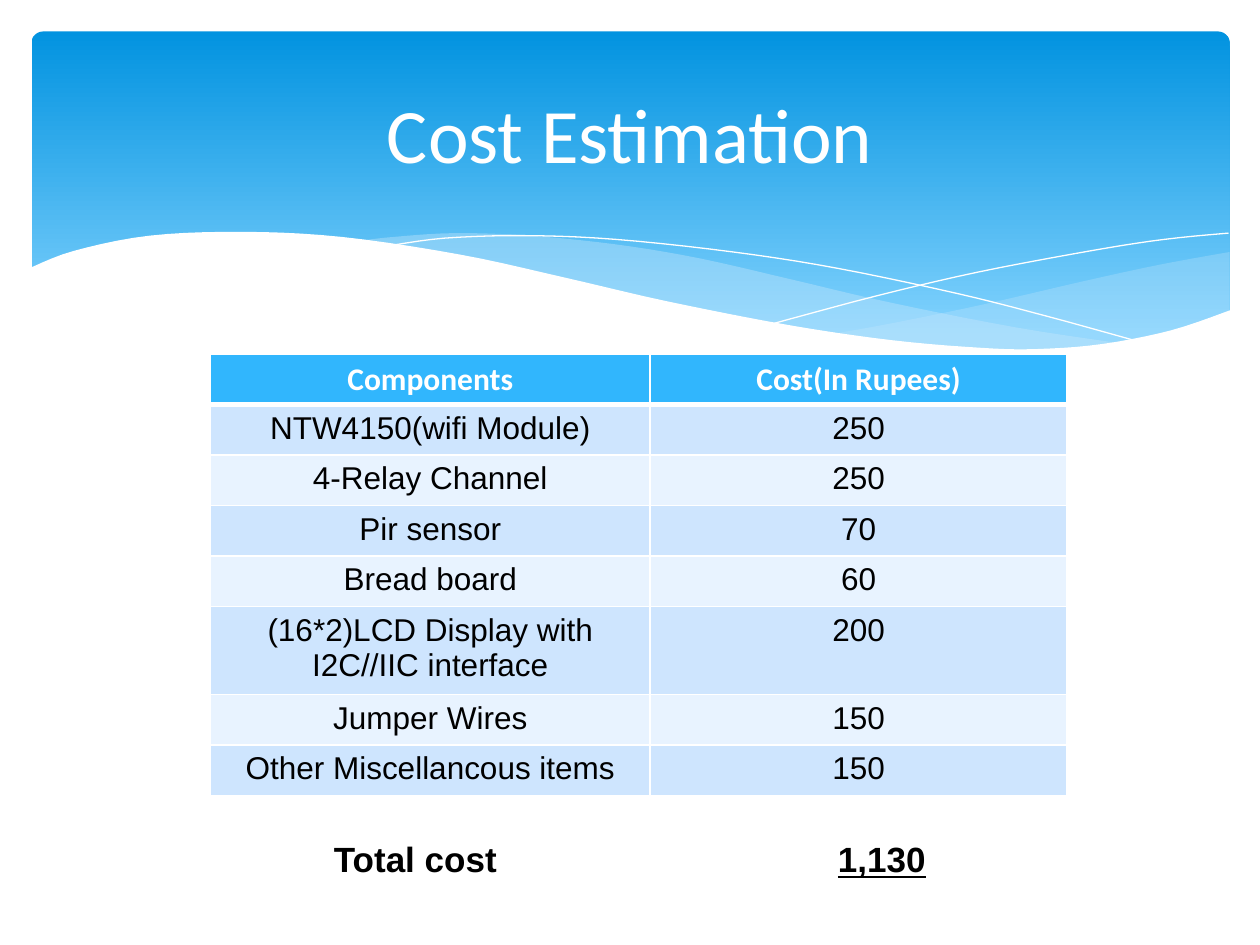
from dataclasses import dataclass

from lxml import etree
from pptx import Presentation
from pptx import util as u
from pptx.dml.color import RGBColor
from pptx.enum import shapes, text
from pptx.oxml.ns import qn

COSTS = [
    ("Components", "Cost(In Rupees)"),
    ("NTW4150(wifi Module)", "250"),
    ("4-Relay Channel", "250"),
    ("Pir sensor", "70"),
    ("Bread board", "60"),
    ("(16*2)LCD Display with I2C//IIC interface", "200"),
    ("Jumper Wires", "150"),
    ("Other Miscellancous items", "150"),
]

# Waypoints of the banner waves, in inches
RIGHT_WAVE_TOP = [(9.76, 2), (9.21, 2.1), (8.61, 2.23), (7.79, 2.42), (7.06, 2.57), (6.61, 2.65)]
RIGHT_WAVE_BOTTOM = [(6.61, 2.65), (7.19, 2.72), (7.69, 2.77), (8.14, 2.78), (8.63, 2.75),
                     (9.05, 2.69), (9.42, 2.59), (9.76, 2.47)]
MIDDLE_WAVE_TOP = [(8.93, 2.73), (8.07, 2.6), (7.06, 2.4), (6.29, 2.22), (5.55, 2.05),
                   (4.89, 1.94), (4.2, 1.87), (3.61, 1.85), (3.13, 1.88), (2.86, 1.91)]
MIDDLE_WAVE_BOTTOM = [(2.86, 1.91), (3.62, 2.03), (4.49, 2.22), (5.3, 2.4), (6.18, 2.58),
                      (6.95, 2.7), (7.61, 2.77), (8.18, 2.78), (8.57, 2.77), (8.93, 2.73)]
FALLING_LINE = [(3.09, 1.95), (3.53, 1.89), (4.16, 1.87), (4.89, 1.9), (5.82, 2),
                (6.65, 2.13), (7.6, 2.33), (8.31, 2.51), (9.07, 2.72)]
RISING_LINE = [(6.13, 2.57), (6.95, 2.35), (7.76, 2.16), (8.66, 1.99), (9.24, 1.9), (9.75, 1.85)]
WHITE_WAVE = [(0.23, 2.13), (0.59, 1.99), (1.19, 1.87), (1.93, 1.84), (2.71, 1.88),
              (3.65, 2.02), (4.47, 2.2), (5.29, 2.39), (6.26, 2.58), (7.08, 2.7),
              (7.78, 2.76), (8.23, 2.77), (8.75, 2.73), (9.3, 2.62), (9.77, 2.46)]


@dataclass(frozen=True)
class Theme:
    banner_top: str = "0293E0"
    banner_bottom: str = "83D3FE"
    wave: str = "C6E7FC"
    white: str = "FFFFFF"
    ink: str = "000000"
    header: str = "31B6FD"
    bands: tuple = ("CEE5FE", "E8F3FF")
    heading_font: str = "Calibri"
    body_font: str = "Arial"
    title_size: int = 44
    table_size: int = 18
    total_size: int = 20


def smooth(points, steps=5):
    """Return a Catmull-Rom curve through the points."""
    padded = [points[0], *points, points[-1]]
    curve = [points[0]]
    for a, b, c, d in zip(padded, padded[1:], padded[2:], padded[3:]):
        for step in range(1, steps + 1):
            t = step / steps
            curve.append(tuple(
                (2 * q + (r - p) * t + (2 * p - 5 * q + 4 * r - s) * t ** 2
                 + (3 * q - p - 3 * r + s) * t ** 3) / 2
                for p, q, r, s in zip(a, b, c, d)))
    return curve


def add_run(paragraph, words, *, size, font, color, bold=False, underline=False):
    run = paragraph.add_run()
    run.text = words
    run.font.size = u.Pt(size)
    run.font.name = font
    run.font.color.rgb = RGBColor.from_string(color)
    run.font.bold = bold
    run.font.underline = underline


def border_cell(cell, color, bottom):
    properties = cell._tc.get_or_add_tcPr()
    for side, points in (("L", 1), ("R", 1), ("T", 1), ("B", bottom)):
        line = etree.SubElement(properties, qn(f"a:ln{side}"), w=str(u.Pt(points)))
        fill = etree.SubElement(line, qn("a:solidFill"))
        etree.SubElement(fill, qn("a:srgbClr"), val=color)


class CostSlide:
    def __init__(self, deck, theme):
        self.theme = theme
        self.slide = deck.slides.add_slide(deck.slide_layouts[6])

    def banner(self, left, top, width, height):
        banner = self.slide.shapes.add_shape(
            shapes.MSO_SHAPE.ROUNDED_RECTANGLE, *map(u.Inches, (left, top, width, height)))
        banner.adjustments[0] = 0.034
        banner.shadow.inherit = False
        banner.line.fill.background()
        banner.fill.gradient()
        banner.fill.gradient_angle = 270
        colors = (self.theme.banner_top, self.theme.banner_bottom)
        for stop, color, position in zip(banner.fill.gradient_stops, colors, (0, 0.9)):
            stop.color.rgb = RGBColor.from_string(color)
            stop.position = position

    def outline(self, points, closed):
        start, *rest = [(u.Inches(x), u.Inches(y)) for x, y in points]
        builder = self.slide.shapes.build_freeform(*start)
        builder.add_line_segments(rest, close=closed)
        shape = builder.convert_to_shape()
        shape.shadow.inherit = False
        return shape

    def wave(self, points, color, opacity=100):
        wave = self.outline(points, closed=True)
        wave.line.fill.background()
        wave.fill.solid()
        wave.fill.fore_color.rgb = RGBColor.from_string(color)
        if opacity < 100:
            tint = wave._element.spPr.find(f"{qn('a:solidFill')}/{qn('a:srgbClr')}")
            etree.SubElement(tint, qn("a:alpha"), val=str(opacity * 1000))

    def hairline(self, points):
        hairline = self.outline(points, closed=False)
        hairline.fill.background()
        hairline.line.color.rgb = RGBColor.from_string(self.theme.white)
        hairline.line.width = u.Pt(0)

    def text_frame(self, left, top, width, height):
        frame = self.slide.shapes.add_textbox(
            *map(u.Inches, (left, top, width, height))).text_frame
        frame.word_wrap = True
        return frame

    def title(self, words):
        frame = self.text_frame(0.5, 0.37, 9, 1.37)
        frame.vertical_anchor = text.MSO_ANCHOR.MIDDLE
        frame.paragraphs[0].alignment = text.PP_ALIGN.CENTER
        add_run(frame.paragraphs[0], words, size=self.theme.title_size,
                font=self.theme.heading_font, color=self.theme.white)

    def cost_table(self, rows, left, top, widths, row_height):
        theme = self.theme
        table = self.slide.shapes.add_table(
            len(rows), len(widths), u.Inches(left), u.Inches(top),
            u.Inches(sum(widths)), u.Inches(row_height * len(rows))).table
        for column, width in zip(table.columns, widths):
            column.width = u.Inches(width)
        for i, row in enumerate(rows):
            table.rows[i].height = u.Inches(row_height)
            heading = i == 0
            for j, words in enumerate(row):
                cell = table.cell(i, j)
                border_cell(cell, theme.white, bottom=3 if heading else 1)
                cell.fill.solid()
                cell.fill.fore_color.rgb = RGBColor.from_string(
                    theme.header if heading else theme.bands[(i - 1) % 2])
                paragraph = cell.text_frame.paragraphs[0]
                paragraph.alignment = text.PP_ALIGN.CENTER
                add_run(paragraph, words, size=theme.table_size, bold=heading,
                        font=theme.heading_font if heading else theme.body_font,
                        color=theme.white if heading else theme.ink)

    def total(self, label, amount):
        """Write label and amount on one line, parted by a tab stop."""
        frame = self.text_frame(2.05, 6.6, 5.91, 0.44)
        frame.margin_left = u.Inches(0.6)
        paragraph = frame.paragraphs[0]
        stops = etree.SubElement(paragraph._p.get_or_add_pPr(), qn("a:tabLst"))
        etree.SubElement(stops, qn("a:tab"), pos=str(u.Inches(4)), algn="l")
        style = dict(size=self.theme.total_size, font=self.theme.body_font,
                     color=self.theme.ink, bold=True)
        add_run(paragraph, f"{label}\t", **style)
        add_run(paragraph, amount, underline=True, **style)


def main():
    deck = Presentation()
    deck.slide_width, deck.slide_height = u.Inches(10), u.Inches(7.5)
    theme = Theme()
    page = CostSlide(deck, theme)
    page.banner(0.25, 0.25, 9.51, 2.7)
    page.wave(smooth(RIGHT_WAVE_TOP) + smooth(RIGHT_WAVE_BOTTOM), theme.wave, opacity=29)
    page.wave(smooth(MIDDLE_WAVE_TOP) + smooth(MIDDLE_WAVE_BOTTOM), theme.wave, opacity=40)
    page.hairline(smooth(FALLING_LINE))
    page.hairline(smooth(RISING_LINE))
    page.wave(smooth(WHITE_WAVE) + [(9.77, 3.29), (0.23, 3.29)], theme.white)
    page.title("Cost Estimation")
    page.cost_table(COSTS, 1.67, 2.81, widths=(3.49, 3.31), row_height=0.4)
    page.total("Total cost", "1,130")
    deck.save("out.pptx")


if __name__ == "__main__":
    main()
